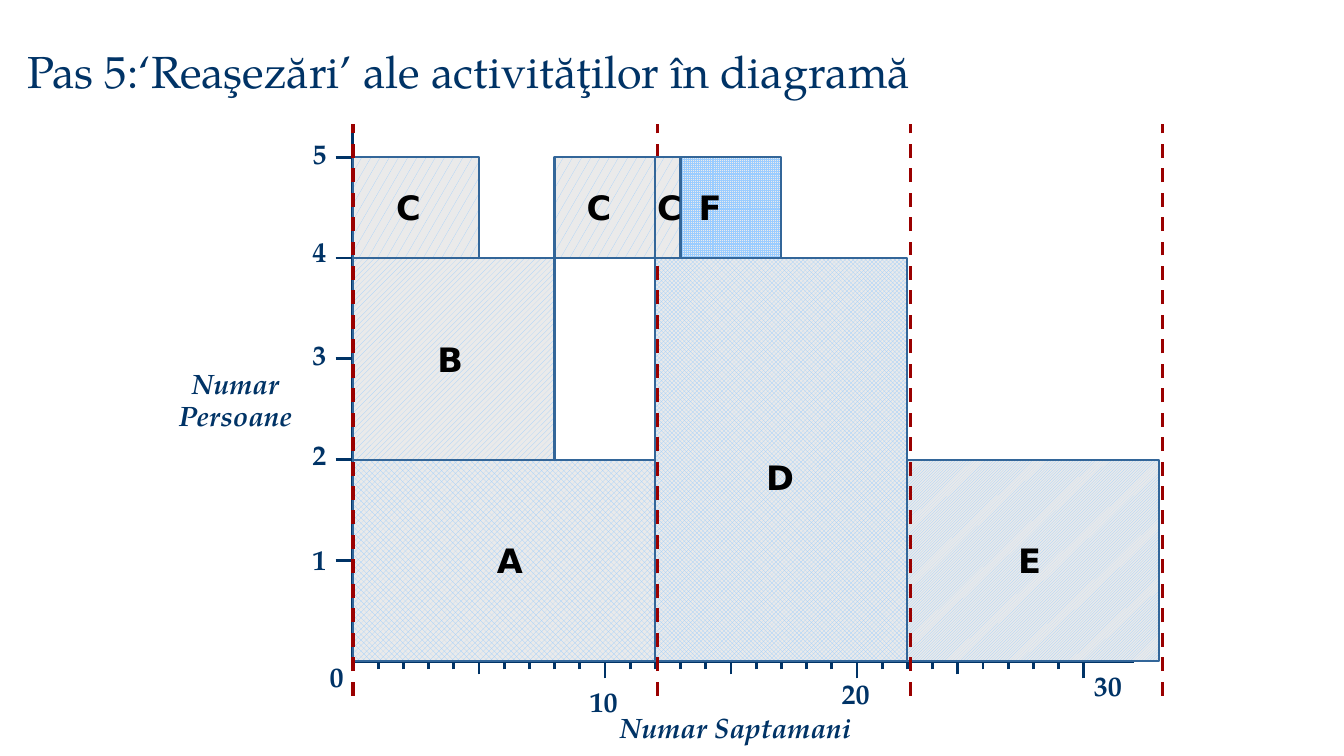
from dataclasses import dataclass

from lxml import etree
from pptx import Presentation, util as u
from pptx.dml.color import RGBColor
from pptx.enum import dml, shapes, text
from pptx.oxml.ns import qn


@dataclass(frozen=True)
class Theme:
    navy: RGBColor = RGBColor(0x00, 0x33, 0x66)
    black: RGBColor = RGBColor(0x00, 0x00, 0x00)
    outline: RGBColor = RGBColor(0x33, 0x66, 0x99)
    light_blue: RGBColor = RGBColor(0x99, 0xCC, 0xFF)
    light_grey: RGBColor = RGBColor(0xEA, 0xEA, 0xEA)
    dark_red: RGBColor = RGBColor(0x9A, 0x00, 0x00)
    serif: str = "TeX Gyre Pagella"
    sans: str = "DejaVu Sans"
    title_size: int = 32
    activity_size: int = 24
    axis_size: int = 20


ORIGIN_X, ORIGIN_Y = 3.5, 6.56
WEEK = 0.25
PATTERN = dml.MSO_PATTERN_TYPE


def week_x(week):
    return ORIGIN_X + week * WEEK


class ResourceDiagram:
    def __init__(self, slide, theme):
        self.slide = slide
        self.theme = theme

    def text_box(self, lines, left, top, width, height, size, font, color,
                 bold=True, italic=False, centered=False, grow=False,
                 line_spacing=None, parent=None):
        box = (parent or self.slide).shapes.add_textbox(
            u.Inches(left), u.Inches(top), u.Inches(width), u.Inches(height))
        frame = box.text_frame
        frame.word_wrap = True
        if grow:
            frame.auto_size = text.MSO_AUTO_SIZE.SHAPE_TO_FIT_TEXT
        for index, line in enumerate(lines):
            paragraph = frame.add_paragraph() if index else frame.paragraphs[0]
            if index:
                paragraph.space_before = u.Pt(size * 0.2)
            if centered:
                paragraph.alignment = text.PP_ALIGN.CENTER
            if line_spacing:
                paragraph.line_spacing = line_spacing
            run = paragraph.add_run()
            run.text = line
            run.font.size = u.Pt(size)
            run.font.name = font
            run.font.color.rgb = color
            run.font.bold = bold
            run.font.italic = italic
        return box

    def title(self, line):
        box = self.text_box([line], 0.17, 0.38, 11.52, 0.64, self.theme.title_size,
                            self.theme.serif, self.theme.navy, bold=False, grow=True)
        box.text_frame.vertical_anchor = text.MSO_ANCHOR.BOTTOM

    def axis_number(self, number, left, top, width):
        self.text_box([str(number)], left, top, width, 0.42, self.theme.axis_size,
                      self.theme.serif, self.theme.navy, line_spacing=0.8)

    def axis_title(self, lines, left, top, width, height):
        self.text_box(lines, left, top, width, height, self.theme.axis_size,
                      self.theme.serif, self.theme.navy, italic=True,
                      centered=True, line_spacing=0.8)

    def line(self, x1, y1, x2, y2, color=None, width=2, dash=None):
        connector = self.slide.shapes.add_connector(
            shapes.MSO_CONNECTOR.STRAIGHT,
            u.Inches(x1), u.Inches(y1), u.Inches(x2), u.Inches(y2))
        connector.line.color.rgb = color or self.theme.navy
        connector.line.width = u.Pt(width)
        if dash:
            connector.line.dash_style = dash
        etree.SubElement(connector._element.spPr, qn("a:effectLst"))

    def week_tick(self, week, half_length):
        x = week_x(week)
        self.line(x, ORIGIN_Y + half_length, x, ORIGIN_Y - half_length)

    def milestone(self, x):
        self.line(x, 6.9, x, 1.23, self.theme.dark_red, 2.5, dml.MSO_LINE.DASH)

    def activity(self, name, start, weeks, base, people, pattern,
                 label_left, label_top, label_width):
        """Draw a labelled block; start and weeks are in weeks, base and people in persons."""
        group = self.slide.shapes.add_group_shape()
        block = group.shapes.add_shape(
            shapes.MSO_SHAPE.RECTANGLE,
            u.Inches(week_x(start)), u.Inches(ORIGIN_Y - base - people),
            u.Inches(weeks * WEEK), u.Inches(people))
        block.shadow.inherit = False
        block.fill.patterned()
        block.fill.pattern = pattern
        block.fill.fore_color.rgb = self.theme.light_blue
        block.fill.back_color.rgb = self.theme.light_grey
        block.line.color.rgb = self.theme.outline
        block.line.width = u.Pt(1.5)
        self.text_box([name], label_left, label_top, label_width, 0.5,
                      self.theme.activity_size, self.theme.sans, self.theme.black,
                      grow=True, parent=group)


def draw_axes(diagram):
    diagram.line(ORIGIN_X, 1.31, ORIGIN_X, ORIGIN_Y)
    diagram.line(ORIGIN_X, ORIGIN_Y, week_x(31), ORIGIN_Y)
    for people, label_top in enumerate((5.4, 4.36, 3.36, 2.34, 1.37), start=1):
        y = ORIGIN_Y - people
        diagram.line(ORIGIN_X - 0.17, y, ORIGIN_X + 0.17, y)
        diagram.axis_number(people, 3, label_top, 0.33)

    long_ticks, medium_ticks = (10, 20, 29), (5, 15, 24)
    for week in range(1, 30):
        if week in long_ticks:
            half_length = 0.17
        elif week in medium_ticks:
            half_length = 0.13
        else:
            half_length = 0.08
        diagram.week_tick(week, half_length)

    diagram.axis_number(0, 3.17, 6.56, 0.33)
    for number, left, top in ((10, 5.75, 6.81), (20, 8.25, 6.73), (30, 10.75, 6.65)):
        diagram.axis_number(number, left, top, 0.5)


def main():
    presentation = Presentation()
    presentation.slide_width = u.Inches(13.33)
    presentation.slide_height = u.Inches(7.5)
    slide = presentation.slides.add_slide(presentation.slide_layouts[6])
    diagram = ResourceDiagram(slide, Theme())

    diagram.title("Pas 5:‘Reaşezări’ ale activităţilor în diagramă")
    draw_axes(diagram)
    diagram.axis_title(["Numar", "Persoane"], 1.67, 3.65, 1.33, 0.75)

    activities = (
        ("A", 0, 12, 0, 2, PATTERN.OUTLINED_DIAMOND, 4.83, 5.31, 0.58),
        ("D", 12, 10, 0, 4, PATTERN.TRELLIS, 7.5, 4.48, 0.58),
        ("E", 22, 10, 0, 2, PATTERN.DARK_UPWARD_DIAGONAL, 10, 5.31, 0.58),
        ("B", 0, 8, 2, 2, PATTERN.WIDE_UPWARD_DIAGONAL, 4.24, 3.31, 0.52),
        ("C", 0, 5, 4, 1, PATTERN.SMALL_CONFETTI, 3.83, 1.81, 0.58),
        ("F", 12, 5, 4, 1, PATTERN.SMALL_GRID, 6.83, 1.81, 0.58),
    )
    for activity in activities:
        diagram.activity(*activity)
    for x in (6.52, 11.53, 3.5, 9.03):
        diagram.milestone(x)

    moved_activities = (
        ("C", 8, 4, 4, 1, PATTERN.SMALL_CONFETTI, 5.72, 1.81, 0.78),
        ("C", 12, 1, 4, 1, PATTERN.SMALL_CONFETTI, 6.42, 1.81, 0.33),
    )
    for activity in moved_activities:
        diagram.activity(*activity)
    diagram.axis_title(["Numar Saptamani"], 5.17, 7.06, 4.25, 0.33)
    presentation.save("out.pptx")


if __name__ == "__main__":
    main()
